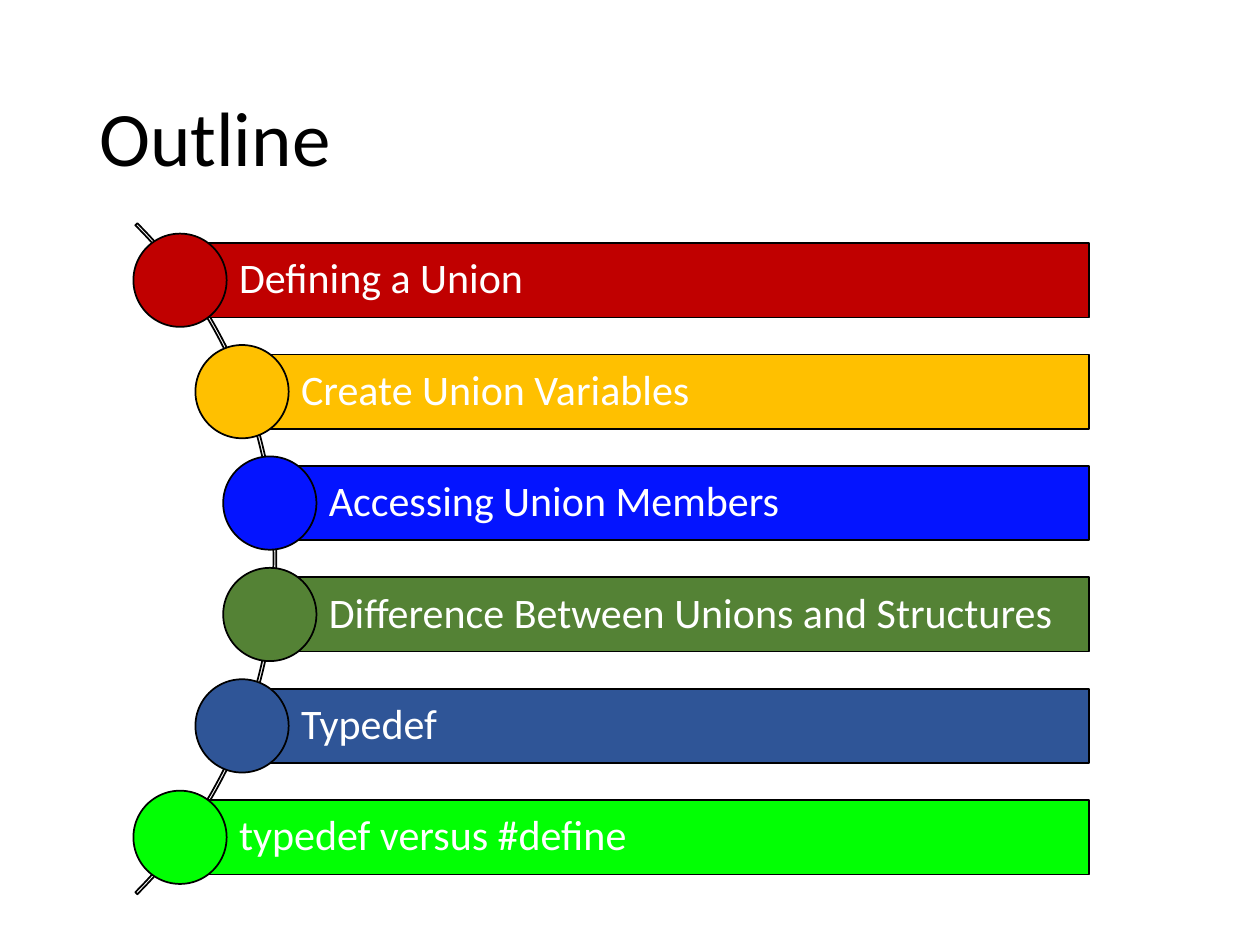
from dataclasses import dataclass

from pptx import Presentation
from pptx.dml.color import RGBColor
from pptx.enum.shapes import MSO_SHAPE
from pptx.enum.text import MSO_ANCHOR, PP_ALIGN
from pptx.util import Cm, Pt


@dataclass(frozen=True)
class Theme:
    font: str = "Calibri"
    title_size: int = 44
    item_size: int = 24
    line_width: int = 1
    dark: str = "000000"
    light: str = "FFFFFF"


theme = Theme()


def add_outlined(shapes, kind, x, y, w, h, fill=None):
    sp = shapes.add_shape(kind, Cm(x), Cm(y), Cm(w), Cm(h))
    sp.shadow.inherit = False
    if fill:
        sp.fill.solid()
        sp.fill.fore_color.rgb = RGBColor.from_string(fill)
    else:
        sp.fill.background()
    sp.line.color.rgb = RGBColor.from_string(theme.dark)
    sp.line.width = Pt(theme.line_width)
    return sp


def set_text(sp, text, size, color):
    tf = sp.text_frame
    tf.word_wrap = True
    tf.vertical_anchor = MSO_ANCHOR.MIDDLE
    p = tf.paragraphs[0]
    p.text = text
    p.alignment = PP_ALIGN.LEFT
    p.line_spacing = 0.9
    p.font.name = theme.font
    p.font.size = Pt(size)
    p.font.color.rgb = RGBColor.from_string(color)
    return tf


prs = Presentation()
prs.slide_width, prs.slide_height = Cm(25.4), Cm(19.05)
s = prs.slides.add_slide(prs.slide_layouts[6])

# Title
title = s.shapes.add_textbox(Cm(1.75), Cm(1.02), Cm(21.9), Cm(3.68))
set_text(title, "Outline", theme.title_size, theme.dark)

# Curved list: bar start, colour and text of each item
items = [
    (3.63, "C00000", "Defining a Union"),
    (4.88, "FFC000", "Create Union Variables"),
    (5.44, "0414FF", "Accessing Union Members"),
    (5.44, "548235", "Difference Between Unions and Structures"),
    (4.88, "2F5597", "Typedef"),
    (3.63, "02FF04", "typedef versus #define"),
]
first_y, last_y = 5.65, 16.88
step = (last_y - first_y) / (len(items) - 1)
bar_right, bar_height, dot = 21.95, 1.5, 1.88
group = s.shapes.add_group_shape().shapes

# Arc behind the list, centred on its height
arc_size = 19.13
arc = add_outlined(group, MSO_SHAPE.BLOCK_ARC, -13.56,
                   (first_y + last_y - arc_size) / 2, arc_size, arc_size)
for i, value in enumerate((189, 27, 0.003)):
    arc.adjustments[i] = value

# Bars, each with a dot centred on its left edge
for i, (x, color, text) in enumerate(items):
    y = first_y + i * step
    bar = add_outlined(group, MSO_SHAPE.RECTANGLE, x, y - bar_height / 2,
                       bar_right - x, bar_height, color)
    tf = set_text(bar, text, theme.item_size, theme.light)
    tf.margin_left = Cm(1.19)
    tf.margin_top = tf.margin_right = tf.margin_bottom = Cm(0.17)
    add_outlined(group, MSO_SHAPE.OVAL, x - dot / 2, y - dot / 2, dot, dot, color)

prs.save("out.pptx")
